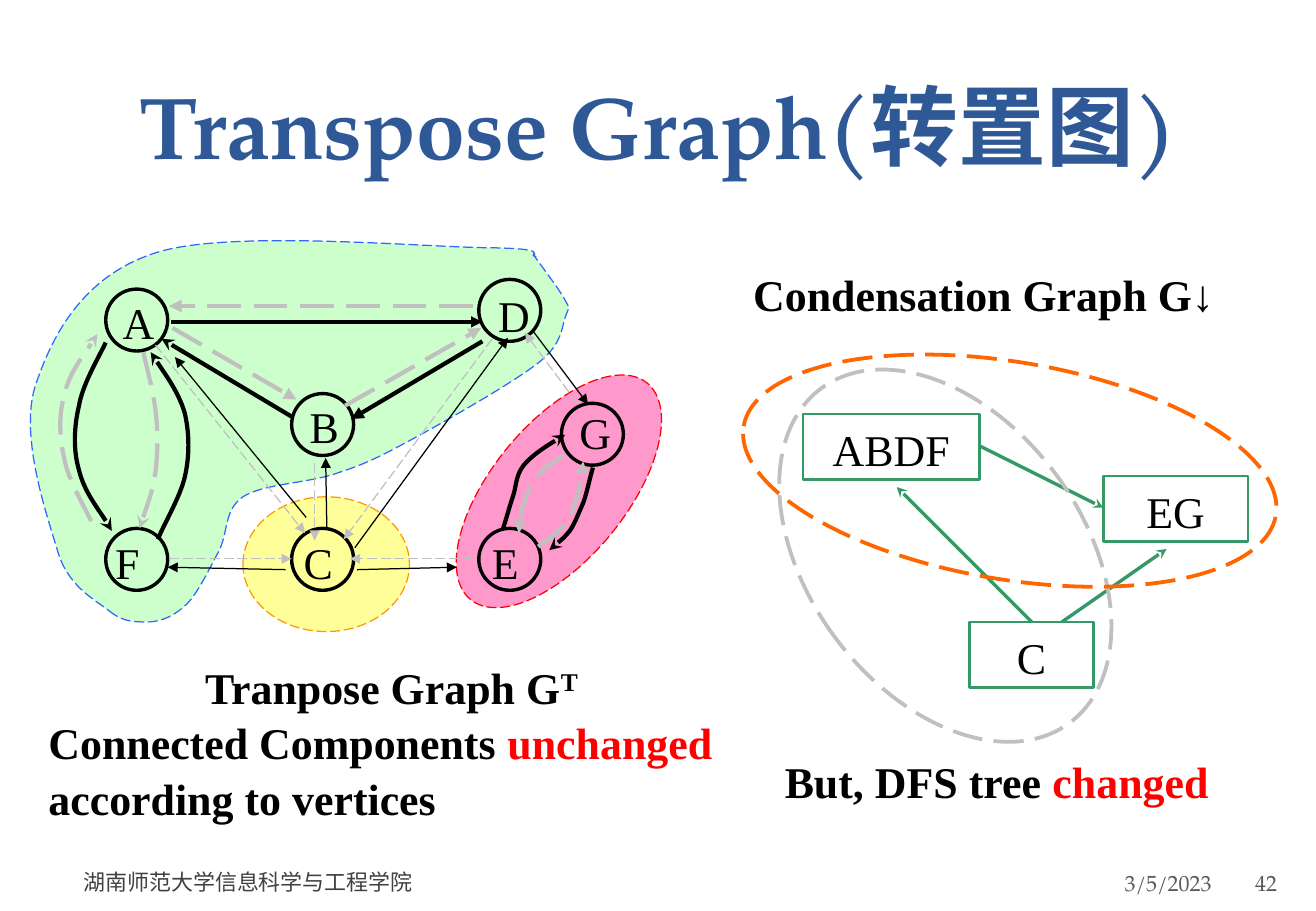
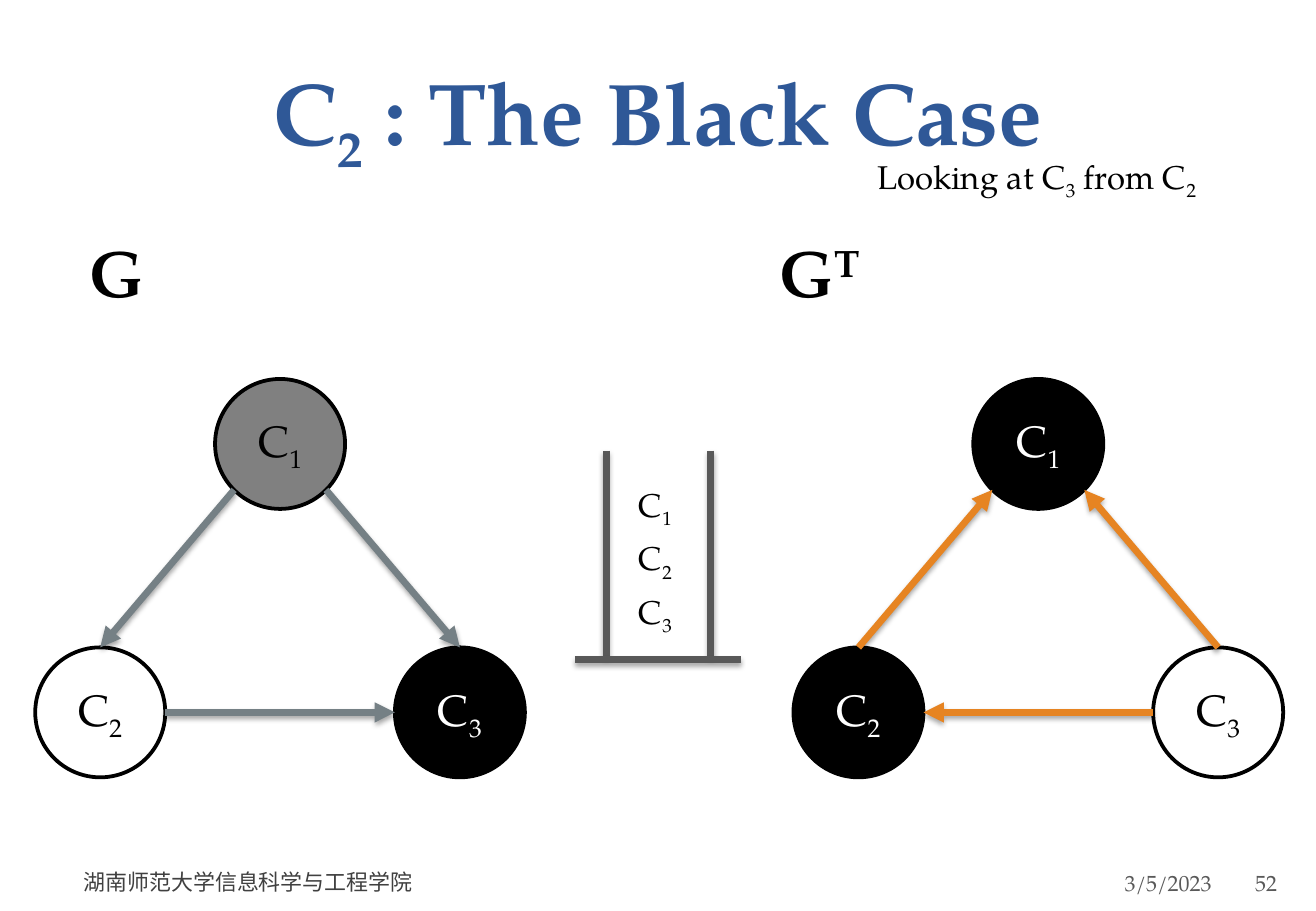
from dataclasses import dataclass
from math import sqrt

from lxml import etree
from pptx import Presentation
from pptx.dml.color import RGBColor
from pptx.enum.dml import MSO_LINE
from pptx.enum.shapes import MSO_CONNECTOR, MSO_SHAPE
from pptx.enum.text import MSO_ANCHOR, MSO_AUTO_SIZE, PP_ALIGN
from pptx.oxml.ns import qn
from pptx.slide import Slide
from pptx.util import Inches, Pt

DASH = MSO_LINE.LONG_DASH
STRAIGHT = MSO_CONNECTOR.STRAIGHT
OVAL, RECT = MSO_SHAPE.OVAL, MSO_SHAPE.RECTANGLE
TOP, MIDDLE, BOTTOM = MSO_ANCHOR.TOP, MSO_ANCHOR.MIDDLE, MSO_ANCHOR.BOTTOM
LEFT, CENTER, RIGHT = PP_ALIGN.LEFT, PP_ALIGN.CENTER, PP_ALIGN.RIGHT
NO_FIT = MSO_AUTO_SIZE.NONE

COLORS = {
    "title": "2F5897", "black": "000000", "white": "FFFFFF", "red": "FF0000",
    "footer": "404040", "meta": "595959", "silver": "C0C0C0", "gray": "808080",
    "green": "CCFFCC", "blue": "3366FF", "yellow": "FFFF99", "amber": "FF9900",
    "pink": "FF99CC", "box": "339966", "orange": "FF6600",
    "edge": "758085", "back_edge": "E68422",
}
SERIF, ROMAN = "TeX Gyre Pagella", "Times New Roman"
INSETS = (0.1, 0.05, 0.1, 0.05)

# Text formats
TITLE = {"name": SERIF, "size": Pt(52), "bold": True, "color": "title"}
META = {"name": SERIF, "size": Pt(13), "color": "meta"}
LABEL = {"name": ROMAN, "size": Pt(26), "color": "black"}
CAPTION = {**LABEL, "bold": True}
HEADING = {"name": SERIF, "size": Pt(39), "bold": True, "color": "black"}
COMPONENT = {"name": SERIF, "size": Pt(26), "color": "black"}
SMALL = {**COMPONENT, "size": Pt(19.5)}
SUB, SUPER = {"baseline": -25000}, {"baseline": 30000}

# Line formats: colour, width in points, dashed
THICK, THICK_GRAY = ("black", 2.5, False), ("silver", 2.5, True)
THIN, THIN_GRAY = ("black", 0.75, False), ("silver", 0.75, True)
GREEN_LINE = ("box", 2, False)


def rgb(name):
    return RGBColor.from_string(COLORS[name])


def write(tf, paragraphs, fmt, aligns=(LEFT,), anchor=TOP, insets=INSETS,
          wrap=True, spacing=None):
    """Each paragraph is a list of runs: a string or (string, overrides)."""
    margins = zip(("left", "top", "right", "bottom"), insets)
    settings = {f"margin_{side}": Inches(v) for side, v in margins}
    settings.update(word_wrap=wrap, vertical_anchor=anchor, auto_size=NO_FIT)
    for key, value in settings.items():
        setattr(tf, key, value)
    for i, runs in enumerate(paragraphs):
        p = tf.add_paragraph() if i else tf.paragraphs[0]
        p.alignment = aligns[i % len(aligns)]
        p.line_spacing = spacing
        for run in runs:
            text, extra = (run, {}) if isinstance(run, str) else run
            r = p.add_run()
            r.text = text
            for key, value in {**fmt, **extra}.items():
                if key == "color":
                    r.font.color.rgb = rgb(value)
                elif key == "baseline":
                    r._r.get_or_add_rPr().set(key, str(value))
                else:
                    setattr(r.font, key, value)


def style_line(sp, line, head=None):
    color, width, dashed = line
    sp.line.color.rgb = rgb(color)
    sp.line.width = Pt(width)
    if dashed:
        sp.line.dash_style = DASH
    if head:
        ln = sp._element.spPr.find(qn("a:ln"))
        etree.SubElement(ln, qn("a:tailEnd"), type=head)


def style_shape(sp, fill, line, head=None):
    sp.shadow.inherit = False
    if fill:
        sp.fill.solid()
        sp.fill.fore_color.rgb = rgb(fill)
    else:
        sp.fill.background()
    style_line(sp, line, head)


@dataclass
class Region:
    """A part of a slide; lengths are inches from its top left corner."""
    slide: Slide
    left: float
    top: float

    def point(self, x, y):
        return Inches(self.left + x), Inches(self.top + y)

    def text(self, x, y, w, h, paragraphs, fmt, **options):
        sp = self.slide.shapes.add_textbox(*self.point(x, y), Inches(w), Inches(h))
        write(sp.text_frame, paragraphs, fmt, **options)

    def shape(self, kind, x, y, w, h, fill, line, rotation=0):
        sp = self.slide.shapes.add_shape(kind, *self.point(x, y), Inches(w), Inches(h))
        style_shape(sp, fill, line)
        sp.rotation = rotation
        return sp

    def line(self, start, end, line, head=None, shadow=False):
        sp = self.slide.shapes.add_connector(STRAIGHT, *self.point(*start), *self.point(*end))
        style_line(sp, line, head)
        effects = etree.SubElement(sp._element.spPr, qn("a:effectLst"))
        if shadow:
            outer = etree.SubElement(
                effects, qn("a:outerShdw"), blurRad=str(Pt(3.1)), dist=str(Pt(1.8)),
                dir="5400000", rotWithShape="0")
            color = etree.SubElement(outer, qn("a:srgbClr"), val=COLORS["black"])
            etree.SubElement(color, qn("a:alpha"), val="35000")

    def curve(self, points, line, head=None, fill=None):
        """Bezier curve: a start point, then three points for each segment."""
        start, *rest = [self.point(*pt) for pt in points]
        builder = self.slide.shapes.build_freeform(*start)
        builder.add_line_segments(rest, close=fill is not None)
        sp = builder.convert_to_shape()
        outline = next(sp._element.iter(qn("a:path")))
        steps = outline.findall(qn("a:lnTo"))
        for i in range(0, len(rest), 3):
            bezier = etree.Element(qn("a:cubicBezTo"))
            steps[i].addprevious(bezier)
            for step in steps[i:i + 3]:
                bezier.append(step[0])
                outline.remove(step)
        style_shape(sp, fill, line, head)


def base_slide(prs, title, number):
    """Title and footer shared by all slides."""
    s = prs.slides.add_slide(prs.slide_layouts[5])
    sp = s.shapes.title
    sp.left, sp.top, sp.width, sp.height = map(Inches, (0.54, 0.36, 9.75, 1.15))
    write(sp.text_frame, [title], TITLE, aligns=(CENTER,), anchor=BOTTOM, spacing=Pt(62.8))
    footer = Region(s, 0.64, 7.06)
    for x, w, text, align, color, insets in (
            (0, 6.82, "湖南师范大学信息科学与工程学院", LEFT, "footer", (0.05, 0.05, 0.1, 0.05)),
            (6.91, 2.47, "3/5/2023", RIGHT, "meta", (0.1, 0.05, 0.05, 0.05)),
            (9.66, 0.49, number, LEFT, "meta", (0.03, 0.05, 0.05, 0.05))):
        footer.text(x, 0.01 if x else 0, w, 0.4, [[text]], {**META, "color": color},
                    aligns=(align,), anchor=MIDDLE, insets=insets)
    return s


def transpose_graph(g):
    # Strongly connected components
    g.shape(OVAL, 3.45, 2.49, 2.3, 1.11, "pink", ("red", 0.75, True), 309.2)
    g.shape(OVAL, 2, 3.09, 1.37, 1.11, "yellow", ("amber", 0.75, True))
    g.curve([(0.9, 4.03), (1.02, 4.13), (1.13, 4.12), (1.24, 4.12),
             (1.34, 4.11), (1.44, 4.07), (1.54, 3.97), (1.63, 3.88), (1.72, 3.69), (1.8, 3.54),
             (1.88, 3.39), (1.84, 3.2), (2, 3.09), (2.17, 2.98), (2.55, 2.98), (2.79, 2.89),
             (3.04, 2.81), (3.18, 2.73), (3.46, 2.58), (3.73, 2.43), (4.24, 2.14), (4.44, 1.98),
             (4.64, 1.82), (4.62, 1.68), (4.66, 1.59), (4.69, 1.51), (4.69, 1.55), (4.65, 1.47),
             (4.61, 1.39), (4.44, 1.17), (4.4, 1.11), (4.36, 1.05), (4.46, 1.13), (4.4, 1.11),
             (4.34, 1.1), (4.56, 1.05), (4.05, 1.04), (3.54, 1.04), (1.95, 0.89), (1.32, 1.07),
             (0.7, 1.25), (0.44, 1.74), (0.3, 2.15), (0.15, 2.56), (0.38, 3.22), (0.47, 3.52),
             (0.55, 3.82), (0.77, 3.93), (0.9, 4.03)], ("blue", 0.75, True), fill="green")

    # Vertices: circle corner, then label corner
    for name, x, y, label_x, label_y in (
            ("A", 0.87, 1.38, 0.91, 1.36), ("B", 2.4, 2.24, 2.45, 2.22),
            ("C", 2.4, 3.35, 2.4, 3.34), ("D", 3.94, 1.3, 4, 1.31),
            ("E", 3.94, 3.35, 3.95, 3.34), ("F", 0.87, 3.35, 0.85, 3.34),
            ("G", 4.62, 2.32, 4.67, 2.27)):
        g.shape(OVAL, x, y, 0.51, 0.51, None, ("black", 2, False))
        g.text(label_x, label_y, 0.69, 0.54, [[name]], LABEL, spacing=1.05)

    # Straight edges: gray before, black after transposing
    for line, head, edges in (
            (THICK_GRAY, "triangle", (
                ((3.89, 1.52), (1.39, 1.52)), ((2.84, 2.34), (3.96, 1.7)),
                ((1.42, 1.7), (2.44, 2.29)))),
            (THIN_GRAY, "triangle", (
                ((2.59, 2.81), (2.59, 3.45)), ((4.05, 1.79), (2.83, 3.44)),
                ((1.39, 3.6), (2.4, 3.6)), ((3.89, 3.6), (2.88, 3.6)),
                ((4.75, 2.32), (4.32, 1.74)), ((1.28, 1.84), (2.51, 3.39)))),
            (THICK, "stealth", (((2.4, 2.43), (1.33, 1.79)),)),
            (THICK, "triangle", (((3.97, 1.81), (2.89, 2.45)),)),
            (("black", 2.25, False), "triangle", (((1.41, 1.65), (3.97, 1.65)),)),
            (THIN, "triangle", (
                ((2.94, 3.69), (3.76, 3.67)), ((2.92, 3.51), (4.18, 1.78)),
                ((2.69, 3.35), (2.68, 2.77)), ((2.52, 3.26), (1.44, 1.94)),
                ((2.35, 3.69), (1.38, 3.67)), ((4.39, 1.73), (4.84, 2.33))))):
        for start, end in edges:
            g.line(start, end, line, head)

    # Curved edges
    for line, head, points in (
            (THICK, "stealth", [
                (0.87, 1.82), (0.82, 1.93), (0.68, 2.16), (0.65, 2.34), (0.61, 2.51),
                (0.6, 2.7), (0.65, 2.87), (0.69, 3.04), (0.88, 3.29), (0.92, 3.37)]),
            (THICK, "stealth", [
                (1.3, 3.44), (1.34, 3.33), (1.48, 3.1), (1.52, 2.93), (1.56, 2.76),
                (1.56, 2.57), (1.52, 2.4), (1.47, 2.23), (1.29, 1.98), (1.24, 1.9)]),
            (THICK_GRAY, "triangle", [
                (4.64, 2.75), (4.56, 2.8), (4.48, 2.85), (4.43, 2.91), (4.37, 2.97),
                (4.35, 3.04), (4.32, 3.12), (4.29, 3.2), (4.28, 3.3), (4.27, 3.39)]),
            (THICK_GRAY, "triangle", [
                (4.43, 3.5), (4.51, 3.44), (4.59, 3.39), (4.64, 3.32), (4.69, 3.26),
                (4.72, 3.18), (4.75, 3.09), (4.77, 3.01), (4.79, 2.9), (4.8, 2.8)]),
            (THICK_GRAY, "stealth", [
                (0.75, 3.29), (0.7, 3.18), (0.56, 2.95), (0.53, 2.78), (0.49, 2.61),
                (0.48, 2.42), (0.53, 2.25), (0.57, 2.07), (0.76, 1.83), (0.8, 1.75)]),
            (THICK_GRAY, "stealth", [
                (1.18, 1.9), (1.2, 2), (1.26, 2.21), (1.28, 2.38), (1.3, 2.54),
                (1.3, 2.71), (1.28, 2.88), (1.26, 3.04), (1.17, 3.27), (1.15, 3.35)]),
            (THICK, "stealth", [
                (4.88, 2.85), (4.85, 2.95), (4.83, 3.06), (4.8, 3.14), (4.76, 3.23),
                (4.73, 3.31), (4.69, 3.37), (4.64, 3.43), (4.58, 3.48), (4.52, 3.53)]),
            (THICK, "stealth", [
                (4.14, 3.35), (4.17, 3.26), (4.19, 3.18), (4.22, 3.09), (4.25, 3.01),
                (4.24, 2.92), (4.31, 2.83), (4.38, 2.75), (4.51, 2.66), (4.65, 2.58)])):
        g.curve(points, line, head)

    g.text(0.3, 4.37, 5.89, 1.41, [
        ["Tranpose Graph G", ("T ", SUPER)],
        ["Connected Components ", ("unchanged ", {"color": "red"}), "according to vertices"],
    ], CAPTION, aligns=(CENTER, LEFT), spacing=1.05)


def condensation_graph(g):
    g.text(0.1, 0.13, 4.39, 0.54, [["Condensation Graph G↓"]], CAPTION, spacing=1.05)
    for name, x, y, w in (("ABDF", 0.61, 1.41, 1.45), ("C", 1.98, 3.12, 1.02),
                          ("EG", 3.08, 1.92, 1.19)):
        sp = g.shape(RECT, x, y, w, 0.54, "white", ("box", 1.5, False))
        write(sp.text_frame, [[name]], LABEL, aligns=(CENTER,), spacing=1.05)
    for start, end in (((2.06, 1.67), (3.08, 2.18)), ((2.49, 3.12), (1.38, 2.01)),
                       ((2.74, 3.12), (3.6, 2.52))):
        g.line(start, end, GREEN_LINE, "stealth")
    # DFS trees
    g.shape(OVAL, 0.65, 0.86, 2.26, 3.43, None, ("silver", 2.25, True), 323.4)
    g.shape(OVAL, 0.09, 0.98, 4.44, 1.79, None, ("orange", 2.25, True), 9.5)
    g.text(0.36, 4.14, 4.01, 0.54, [["But, DFS tree ", ("changed", {"color": "red"})]],
           CAPTION, spacing=1.05)


def component_graph(g, heading, fills, edge_color, reverse=False):
    """Three components in a triangle, under a heading."""
    size, step, drop = 1.07, 1.48, 2.21
    half = size / 2
    g.text(heading[0], -1.26, 0.9, 0.76, [heading[1]], HEADING, wrap=False)
    corners = ((step, 0), (0, drop), (2 * step, drop))
    for i, ((x, y), fill) in enumerate(zip(corners, fills), 1):
        sp = g.shape(OVAL, x, y, size, size, fill, ("black", 2.25, False))
        color = "white" if fill == "black" else "black"
        write(sp.text_frame, [["C", (str(i), SUB)]], {**COMPONENT, "color": color},
              aligns=(CENTER,), anchor=MIDDLE)
    reach, middle, base = half / sqrt(2), step + half, drop + half
    for edge in (((middle - reach, half + reach), (half, drop)),
                 ((size, base), (2 * step, base)),
                 ((middle + reach, half + reach), (2 * step + half, drop))):
        start, end = reversed(edge) if reverse else edge
        g.line(start, end, (edge_color, 4, False), "triangle", shadow=True)


def component_stack(g):
    for start, end in (((0.26, 0), (0.26, 1.7)), ((1.12, 0), (1.12, 1.7)),
                       ((0, 1.72), (1.37, 1.72))):
        g.line(start, end, ("meta", 4, False), shadow=True)
    for i in range(3):
        g.text(0.43, 0.23 + 0.44 * i, 0.49, 0.43, [["C", (str(i + 1), SUB)]], SMALL, wrap=False)


def main():
    prs = Presentation()
    prs.slide_width, prs.slide_height = Inches(10.83), Inches(7.5)

    s = base_slide(prs, ["Transpose Graph(转置图)"], "42")
    transpose_graph(Region(s, 0, 1))
    condensation_graph(Region(s, 6, 2))

    s = base_slide(prs, ["C", ("2", SUB), " : The Black Case"], "52")
    component_graph(Region(s, 0.29, 3.12), (0.35, ["G"]), ("gray", "white", "black"), "edge")
    component_stack(Region(s, 4.73, 3.71))
    component_graph(Region(s, 6.53, 3.12), (-0.21, ["G", ("T", SUPER)]),
                    ("black", "black", "white"), "back_edge", reverse=True)
    Region(s, 7.12, 1.24).text(
        0, 0, 2.87, 0.43, [["Looking at C", ("3", SUB), " from C", ("2", SUB)]], SMALL, wrap=False)

    prs.save("out.pptx")


if __name__ == "__main__":
    main()
